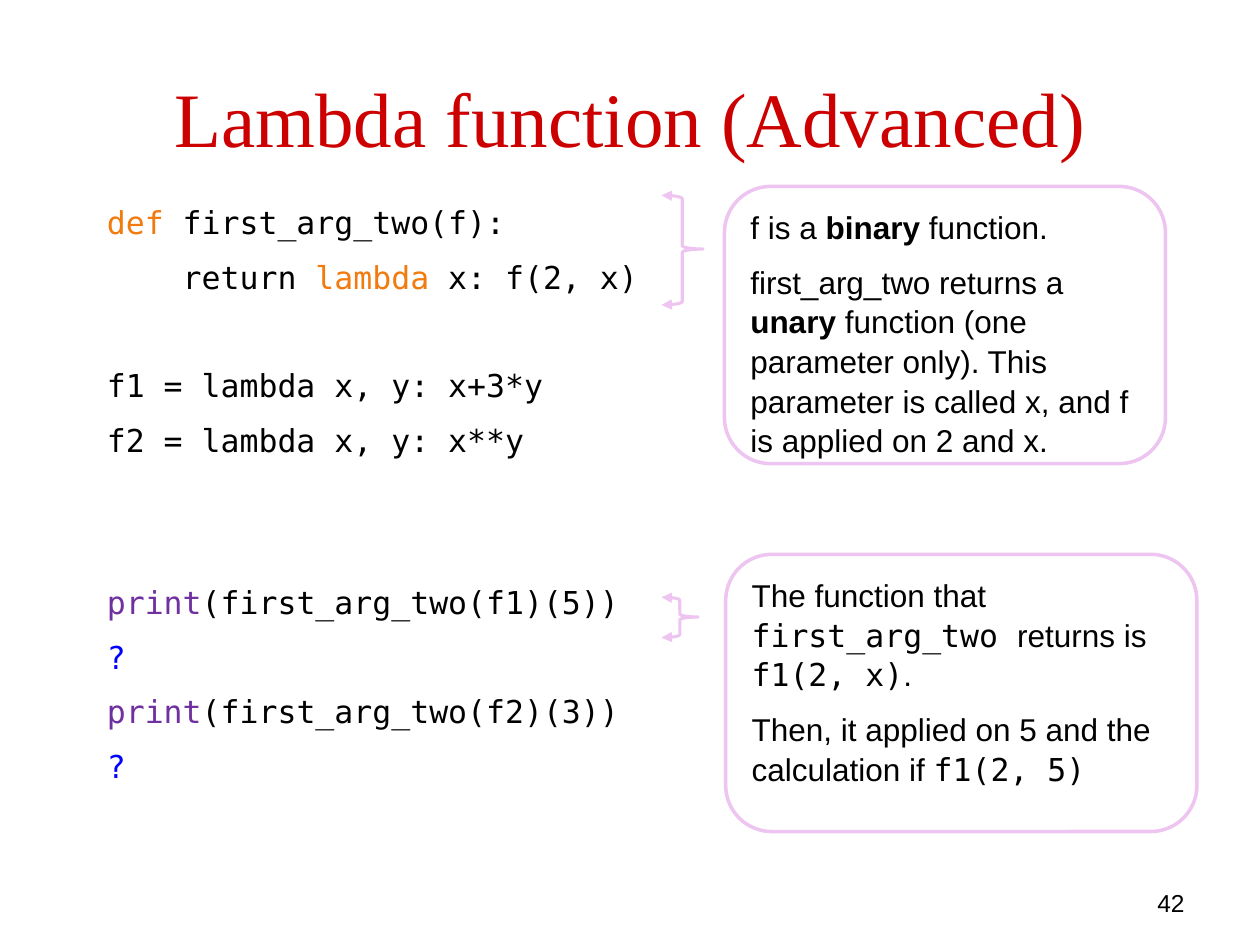
from lxml import etree
from pptx import Presentation
from pptx.dml.color import RGBColor
from pptx.enum.shapes import MSO_SHAPE
from pptx.enum.text import MSO_ANCHOR, PP_ALIGN
from pptx.oxml.ns import qn
from pptx.util import Inches, Pt

LEFT, CENTER, RIGHT = PP_ALIGN.LEFT, PP_ALIGN.CENTER, PP_ALIGN.RIGHT
TOP, MIDDLE = MSO_ANCHOR.TOP, MSO_ANCHOR.MIDDLE
ROUNDED, BRACE = MSO_SHAPE.ROUNDED_RECTANGLE, MSO_SHAPE.LEFT_BRACE

COLORS = {
    "title": "CC0000", "text": "000000", "keyword": "F17B0F",
    "builtin": "7030A0", "answer": "0000FF", "outline": "EDC5F0",
}
SERIF, SANS, MONO = "Times New Roman", "Arial", "DejaVu Sans Mono"
BODY_SIZE = 18
LINE_SPACING = 1.05
PARAGRAPH_GAP = 8.6
CODE_PITCH = 30.6

TITLE = "Lambda function (Advanced)"
PAGE_NUMBER = "42"

CODE = [
    (0, [("def ", "keyword"), ("first_arg_two(f):", "text")]),
    (0, [("    return ", "text"), ("lambda", "keyword"), (" x: f(2, x)", "text")]),
    (1, [("f1 = lambda x, y: x+3*y", "text")]),
    (0, [("f2 = lambda x, y: x**y", "text")]),
    (2, [("print", "builtin"), ("(first_arg_two(f1)(5))", "text")]),
    (0, [("?", "answer")]),
    (0, [("print", "builtin"), ("(first_arg_two(f2)(3))", "text")]),
    (0, [("?", "answer")]),
]

NOTES = [
    ((5.75, 1.48, 3.5, 2.2), [
        [("f is a ", ""), ("binary", "bold"), (" function.", "")],
        [("first_arg_two returns a ", ""), ("unary", "bold"),
         (" function (one parameter only). This parameter is called x, "
          "and f is applied on 2 and x.", "")],
    ]),
    ((5.76, 4.4, 3.74, 2.2), [
        [("The function that ", ""), ("first_arg_two ", "code"),
         ("returns is ", ""), ("f1(2, x)", "code"), (".", "")],
        [("Then, it applied on 5 and the calculation if ", ""),
         ("f1(2, 5)", "code")],
    ]),
]

BRACES = [(5.25, 1.55, 0.33, 0.87), (5.25, 4.74, 0.29, 0.32)]


def color(name):
    return RGBColor.from_string(COLORS[name])


def set_font(font, name, size, color_name):
    font.name = name
    font.size = Pt(size)
    font.color.rgb = color(color_name)


def add_textbox(slide, box, anchor=TOP):
    frame = slide.shapes.add_textbox(*map(Inches, box)).text_frame
    frame.word_wrap = True
    frame.vertical_anchor = anchor
    return frame


def add_label(slide, box, text, font, align, anchor=TOP):
    paragraph = add_textbox(slide, box, anchor).paragraphs[0]
    paragraph.text = text
    paragraph.alignment = align
    set_font(paragraph.font, *font)


def next_paragraph(frame, index, space_before):
    paragraph = frame.add_paragraph() if index else frame.paragraphs[0]
    paragraph.alignment = LEFT
    paragraph.line_spacing = LINE_SPACING
    paragraph.space_before = Pt(space_before if index else 0)
    return paragraph


def add_code(slide, box):
    frame = add_textbox(slide, box)
    for index, (skipped_lines, parts) in enumerate(CODE):
        gap = PARAGRAPH_GAP + skipped_lines * CODE_PITCH
        paragraph = next_paragraph(frame, index, gap)
        paragraph.font.name = MONO
        paragraph.font.size = Pt(BODY_SIZE)
        for text, color_name in parts:
            run = paragraph.add_run()
            run.text = text
            run.font.color.rgb = color(color_name)


def add_outline(slide, kind, box, width):
    shape = slide.shapes.add_shape(kind, *map(Inches, box))
    shape.shadow.inherit = False
    shape.fill.background()
    shape.line.color.rgb = color("outline")
    shape.line.width = Pt(width)
    return shape


def add_note(slide, box, paragraphs):
    frame = add_outline(slide, ROUNDED, box, 2).text_frame
    frame.word_wrap = True
    frame.vertical_anchor = TOP
    for index, parts in enumerate(paragraphs):
        paragraph = next_paragraph(frame, index, PARAGRAPH_GAP)
        set_font(paragraph.font, SANS, BODY_SIZE, "text")
        for text, style in parts:
            run = paragraph.add_run()
            run.text = text
            if style == "bold":
                run.font.bold = True
            elif style == "code":
                run.font.name = MONO


def add_brace(slide, box):
    shape = add_outline(slide, BRACE, box, 1.75)
    shape.rotation = 180
    shape.adjustments[0] = 0.08
    shape.adjustments[1] = 0.51
    line = shape.line._get_or_add_ln()
    for end in ("a:headEnd", "a:tailEnd"):
        etree.SubElement(line, qn(end), type="triangle")


def main():
    presentation = Presentation()
    presentation.slide_width = Inches(10)
    presentation.slide_height = Inches(7.5)
    slide = presentation.slides.add_slide(presentation.slide_layouts[6])

    add_label(slide, (0.5, 0.3, 9, 1.25), TITLE, (SERIF, 44, "title"), CENTER, MIDDLE)
    add_label(slide, (7.17, 7, 2.33, 0.25), PAGE_NUMBER, (SANS, 14, "text"), RIGHT)
    add_code(slide, (0.75, 1.55, 5, 4.95))
    for brace, (box, paragraphs) in zip(BRACES, NOTES):
        add_brace(slide, brace)
        add_note(slide, box, paragraphs)

    presentation.save("out.pptx")


if __name__ == "__main__":
    main()
